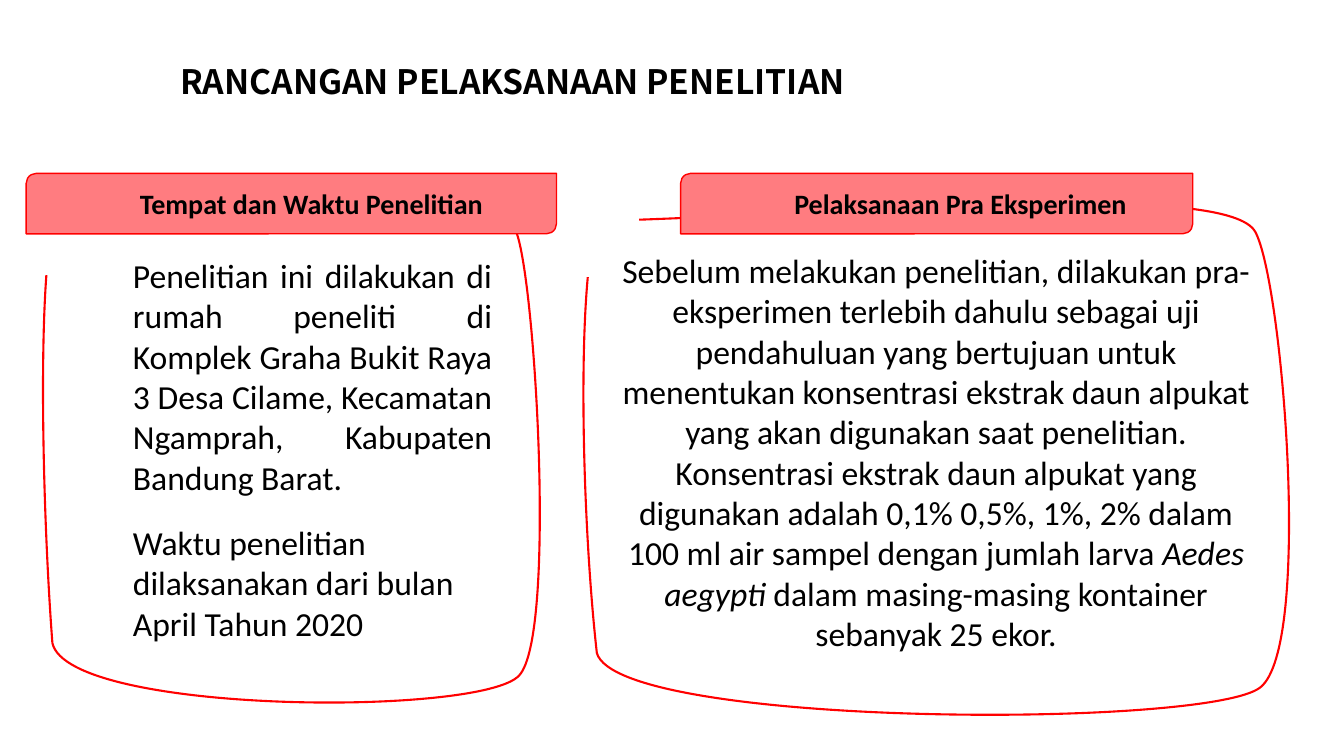
from lxml.etree import SubElement
from pptx import Presentation
from pptx.dml.color import RGBColor
from pptx.enum.shapes import MSO_SHAPE
from pptx.enum.text import MSO_ANCHOR, MSO_AUTO_SIZE, PP_ALIGN
from pptx.oxml.ns import qn
from pptx.util import Inches, Pt

BODY = {"name": "Calibri", "size": Pt(24), "bold": False}
HEADING = {"name": "Calibri", "size": Pt(20), "bold": True}
TITLE = {"name": "Noto Sans CJK SC", "size": Pt(24), "bold": True}

LEFT_OUTLINE = [
    (0.82, 2.18), (2.56, 2.08), (4.93, 1.82), (5.12, 2.3),
    (5.31, 2.78), (5.52, 6.3), (5.15, 6.7),
    (4.79, 7.11), (0.68, 7.09), (0.52, 6.38),
    (0.44, 5.33), (0.39, 3.68), (0.46, 2.73),
]
RIGHT_OUTLINE = [
    (6.34, 2.18), (8.82, 2.09), (12.18, 1.81), (12.45, 2.3),
    (12.72, 2.79), (13.02, 6.41), (12.5, 6.82),
    (11.98, 7.23), (6.14, 7.22), (5.92, 6.48),
    (5.8, 5.41), (5.74, 3.72), (5.83, 2.75),
]
PLACE = (
    "Penelitian ini dilakukan di rumah peneliti di Komplek Graha Bukit Raya 3 "
    "Desa Cilame, Kecamatan Ngamprah, Kabupaten Bandung Barat. "
)
TIME = "Waktu penelitian dilaksanakan dari bulan April Tahun 2020"
TRIAL = (
    "Sebelum melakukan penelitian, dilakukan pra-eksperimen terlebih dahulu "
    "sebagai uji pendahuluan yang bertujuan untuk menentukan konsentrasi ekstrak "
    "daun alpukat yang akan digunakan saat penelitian. Konsentrasi ekstrak daun "
    "alpukat yang digunakan adalah 0,1% 0,5%, 1%, 2% dalam 100 ml air sampel "
    "dengan jumlah larva "
)


def color(value):
    """Turn a hex string into a colour."""
    return RGBColor.from_string(value)


def add_span(para, text, style):
    """Add a run of black text with the given font values."""
    span = para.add_run()
    span.text = text
    for name, value in style.items():
        setattr(span.font, name, value)
    span.font.color.rgb = color("000000")


def add_text(page, place, spans, align=PP_ALIGN.LEFT):
    """Add a wrapping text box made of (text, style) spans."""
    box = page.shapes.add_textbox(*map(Inches, place))
    box.text_frame.word_wrap = True
    box.text_frame.auto_size = MSO_AUTO_SIZE.SHAPE_TO_FIT_TEXT
    para = box.text_frame.paragraphs[0]
    para.alignment = align
    for text, style in spans:
        add_span(para, text, style)


def set_outline(shape, width):
    """Give a shape a red line and no shadow."""
    shape.shadow.inherit = False
    shape.line.color.rgb = color("FF0000")
    shape.line.width = Pt(width)


def add_outline(page, place, points):
    """Draw an open frame of cubic curves within the given place."""
    left, top, width, height = place
    builder = page.shapes.build_freeform(Inches(left), Inches(top))
    builder.add_line_segments([(Inches(left + width), Inches(top + height))], close=False)
    frame = builder.convert_to_shape()
    frame.fill.background()
    set_outline(frame, 1.5)

    route = next(frame.element.iter(qn("a:path")))
    for segment in list(route):
        route.remove(segment)
    commands = [("a:moveTo", points[:1])]
    commands += [("a:cubicBezTo", points[i:i + 3]) for i in range(1, len(points), 3)]
    for tag, controls in commands:
        command = SubElement(route, qn(tag))
        for x, y in controls:
            SubElement(
                command, qn("a:pt"), x=str(Inches(x - left)), y=str(Inches(y - top))
            )


def add_heading(page, left, width, text):
    """Add a pink heading bar with indented text."""
    bar = page.shapes.add_shape(
        MSO_SHAPE.ROUND_2_DIAG_RECTANGLE,
        Inches(left), Inches(1.72), Inches(width), Inches(0.6),
    )
    bar.fill.solid()
    bar.fill.fore_color.rgb = color("FF7C80")
    set_outline(bar, 1)
    bar.text_frame.word_wrap = True
    bar.text_frame.vertical_anchor = MSO_ANCHOR.MIDDLE
    para = bar.text_frame.paragraphs[0]
    para.level = 2
    para.alignment = PP_ALIGN.LEFT
    add_span(para, text, HEADING)


def main():
    """Build the slide and save the deck."""
    deck = Presentation()
    deck.slide_width, deck.slide_height = Inches(13.33), Inches(7.5)
    page = deck.slides.add_slide(deck.slide_layouts[6])

    add_text(page, (1.69, 0.56, 8.31, 0.5), [("RANCANGAN PELAKSANAAN PENELITIAN", TITLE)])

    add_text(page, (1.22, 2.48, 3.76, 2.52), [(PLACE, BODY)], PP_ALIGN.JUSTIFY)
    add_outline(page, (0.43, 2.02, 4.92, 4.95), LEFT_OUTLINE)
    add_heading(page, 0.26, 5.26, "Tempat dan Waktu Penelitian")
    add_text(page, (1.22, 5.13, 3.76, 1.31), [(TIME, BODY)])

    trial_spans = [
        (TRIAL, BODY),
        ("Aedes aegypti ", {**BODY, "italic": True}),
        ("dalam masing-masing kontainer sebanyak 25 ekor.", BODY),
    ]
    add_text(page, (5.95, 2.43, 6.67, 4.14), trial_spans, PP_ALIGN.CENTER)
    add_outline(page, (5.79, 2.02, 7, 5.07), RIGHT_OUTLINE)
    add_heading(page, 6.75, 5.08, "Pelaksanaan Pra Eksperimen")

    deck.save("out.pptx")


if __name__ == "__main__":
    main()
